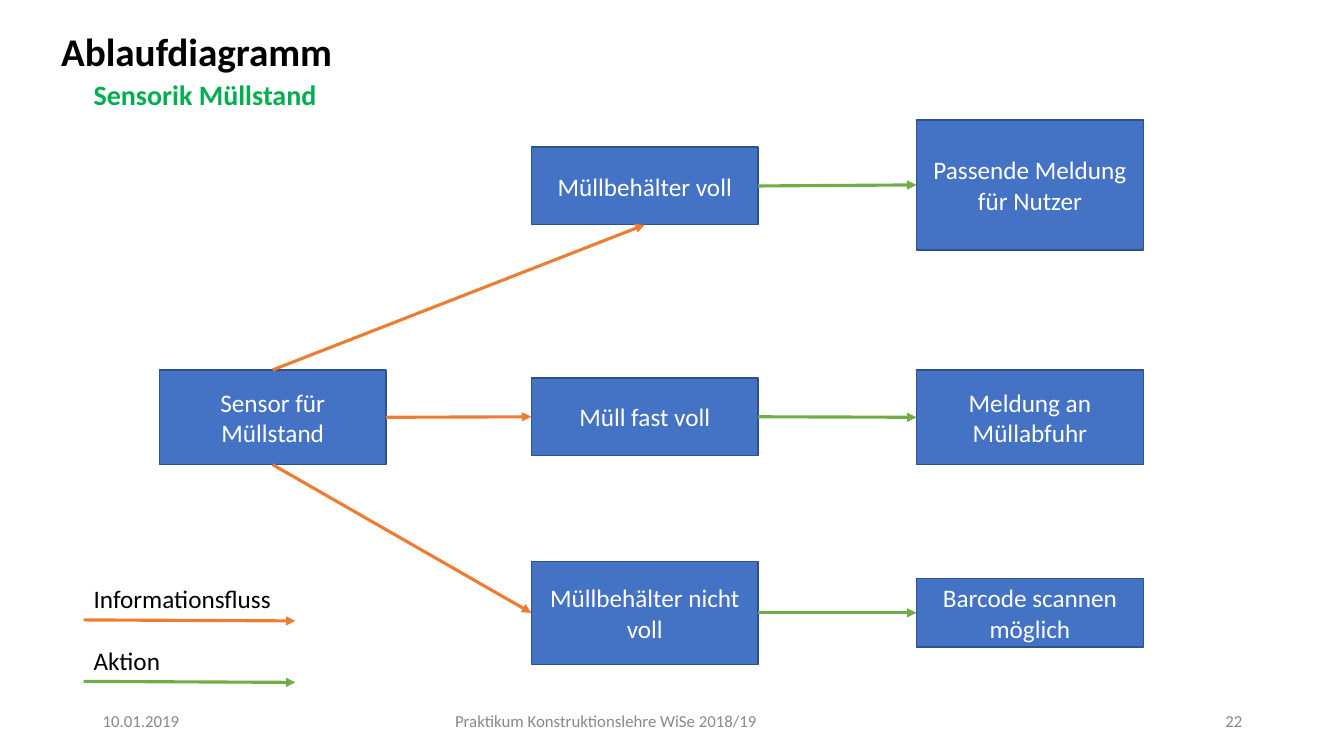
from lxml import etree
from pptx import Presentation
from pptx import util as u
from pptx.dml.color import RGBColor
from pptx.enum import shapes, text
from pptx.oxml.ns import qn

COLORS = {
    "black": "000000",
    "white": "FFFFFF",
    "heading": "00B050",
    "footer": "898989",
    "box": "4472C4",
    "border": "2F528F",
    "information": "ED7D31",
    "action": "70AD47",
}
ALIGN = text.PP_ALIGN
ANCHOR = text.MSO_ANCHOR
TOP, LEFT, BOTTOM, RIGHT = range(4)
BOX_WIDTH = 2.25
SENSOR_X, STATE_X, RESPONSE_X = 1.58, 5.27, 9.09
LEGEND_X = 0.83


def rgb(color):
    """Return the named colour."""
    return RGBColor.from_string(COLORS[color])


def write(frame, wording, size, color, bold=False, align=ALIGN.LEFT, **frame_format):
    """Fill a text frame with one formatted paragraph."""
    for attribute, value in frame_format.items():
        setattr(frame, attribute, value)
    paragraph = frame.paragraphs[0]
    paragraph.alignment = align
    run = paragraph.add_run()
    run.text = wording
    font_format = {"name": "Calibri", "size": u.Pt(size), "bold": bold}
    for attribute, value in font_format.items():
        setattr(run.font, attribute, value)
    run.font.color.rgb = rgb(color)
    return paragraph


def add_text(slide, bounds, wording, size, color, **text_format):
    """Add a text box and return its paragraph."""
    label = slide.shapes.add_textbox(*map(u.Inches, bounds))
    return write(label.text_frame, wording, size, color, **text_format)


def add_label(slide, bounds, wording, size, color, bold=False):
    """Add a one-line label that fits its text."""
    add_text(slide, bounds, wording, size, color, bold=bold, word_wrap=False,
             auto_size=text.MSO_AUTO_SIZE.SHAPE_TO_FIT_TEXT)


def add_step(slide, x, y, height, wording):
    """Add one box of the flow chart."""
    step = slide.shapes.add_shape(
        shapes.MSO_SHAPE.RECTANGLE, *map(u.Inches, (x, y, BOX_WIDTH, height)))
    step.shadow.inherit = False
    step.fill.solid()
    step.fill.fore_color.rgb = rgb("box")
    step.line.color.rgb = rgb("border")
    step.line.width = u.Pt(1)
    write(step.text_frame, wording, 18, "white", align=ALIGN.CENTER,
          word_wrap=True, vertical_anchor=ANCHOR.MIDDLE)
    return step


def add_arrow(slide, color, start=(0, 0), end=(0, 0)):
    """Add a straight arrow between two points."""
    arrow = slide.shapes.add_connector(
        shapes.MSO_CONNECTOR.STRAIGHT, *map(u.Inches, (*start, *end)))
    arrow.line.color.rgb = rgb(color)
    arrow.line.width = u.Pt(2.25)
    properties = arrow.line._get_or_add_ln()
    etree.SubElement(properties, qn("a:tailEnd"), type="triangle")
    etree.SubElement(properties.getparent(), qn("a:effectLst"))
    return arrow


def join(slide, color, source, source_side, target, target_side):
    """Connect two boxes with an arrow."""
    arrow = add_arrow(slide, color)
    arrow.begin_connect(source, source_side)
    arrow.end_connect(target, target_side)


def add_flow(slide):
    """Draw the sensor, its three states and their responses."""
    sensor = add_step(slide, SENSOR_X, 3.67, 0.94, "Sensor für Müllstand")
    branches = [
        (TOP, BOTTOM, (1.46, 0.77, "Müllbehälter voll"),
         (1.19, 1.29, "Passende Meldung für Nutzer")),
        (RIGHT, LEFT, (3.75, 0.77, "Müll fast voll"),
         (3.67, 0.94, "Meldung an Müllabfuhr")),
        (BOTTOM, LEFT, (5.57, 1.02, "Müllbehälter nicht voll"),
         (5.74, 0.68, "Barcode scannen möglich")),
    ]
    for sensor_side, state_side, state_data, response_data in branches:
        state = add_step(slide, STATE_X, *state_data)
        response = add_step(slide, RESPONSE_X, *response_data)
        join(slide, "information", sensor, sensor_side, state, state_side)
        join(slide, "action", state, RIGHT, response, LEFT)


def add_legend(slide):
    """Explain the two arrow colours."""
    entries = [("Informationsfluss", 1.98, "information"), ("Aktion", 0.87, "action")]
    for row, (wording, width, color) in enumerate(entries):
        y = 5.74 + 0.61 * row
        add_label(slide, (LEGEND_X, y, width, 0.4), wording, 18, "black")
        add_arrow(slide, color, (LEGEND_X, y + 0.41), (LEGEND_X + 2.1, y + 0.42))


def add_footer(slide):
    """Add date, course and page number."""
    parts = [
        (0.92, 3, "10.01.2019", ALIGN.LEFT),
        (2.69, 6.64, "Praktikum Konstruktionslehre WiSe 2018/19", ALIGN.CENTER),
        (9.42, 3, "22", ALIGN.RIGHT),
    ]
    for x, width, wording, align in parts:
        add_text(slide, (x, 6.95, width, 0.4), wording, 12, "footer", align=align,
                 word_wrap=True, vertical_anchor=ANCHOR.MIDDLE)


def main():
    """Build and save the slide."""
    deck = Presentation()
    deck.slide_width, deck.slide_height = u.Inches(13.33), u.Inches(7.5)
    slide = deck.slides.add_slide(deck.slide_layouts[6])
    title = add_text(slide, (-0.64, 0.11, 5.18, 0.68), "Ablaufdiagramm", 28, "black",
                     bold=True, align=ALIGN.CENTER, word_wrap=True,
                     vertical_anchor=ANCHOR.BOTTOM)
    title.line_spacing = 0.9
    add_label(slide, (0.83, 0.72, 2.43, 0.44), "Sensorik Müllstand", 20, "heading", True)
    add_flow(slide)
    add_legend(slide)
    add_footer(slide)
    deck.save("out.pptx")


if __name__ == "__main__":
    main()
